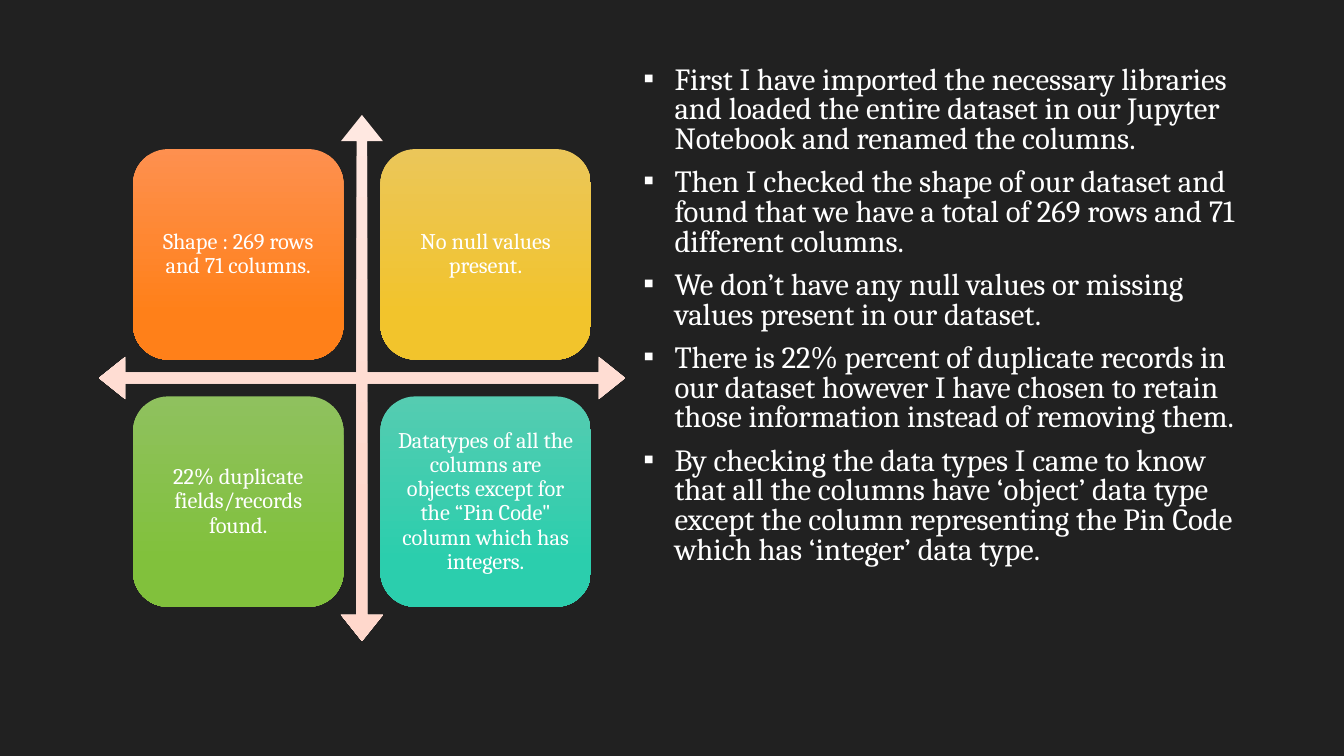
from lxml.etree import SubElement
from pptx import Presentation
from pptx.dml.color import RGBColor
from pptx.enum.shapes import MSO_SHAPE
from pptx.enum.text import MSO_ANCHOR, MSO_AUTO_SIZE, PP_ALIGN
from pptx.oxml.ns import qn
from pptx.util import Inches, Pt

FONT = "Cambria"
BACKGROUND = RGBColor(0x21, 0x21, 0x21)
WHITE = RGBColor(0xFF, 0xFF, 0xFF)
ARROW = (RGBColor(0xFF, 0xE8, 0xE1), RGBColor(0xFF, 0xD8, 0xCC))
ORANGE = (RGBColor(0xFE, 0x90, 0x4F), RGBColor(0xFF, 0x80, 0x19))
YELLOW = (RGBColor(0xEB, 0xC6, 0x59), RGBColor(0xF2, 0xC4, 0x2C))
GREEN = (RGBColor(0x8F, 0xC1, 0x5E), RGBColor(0x81, 0xC1, 0x3C))
TEAL = (RGBColor(0x55, 0xCC, 0xB1), RGBColor(0x2B, 0xCE, 0xAD))

MATRIX_LEFT, MATRIX_TOP, MATRIX_SIZE = Inches(0.98), Inches(1.14), Inches(5.22)
CARD_SHARE = 0.4
CARD_OFFSETS = (0.065, 0.535)
BULLET_INDENT = Inches(0.31)

CARDS = [
    ("Shape : 269 rows and 71 columns.", ORANGE),
    ("No\u00a0null values present.", YELLOW),
    ("22%\u00a0duplicate fields/records found.", GREEN),
    ("Datatypes of all the columns are objects except\u00a0for the “Pin Code\" "
     "column which has integers.", TEAL),
]
FINDINGS = [
    "First I have imported the necessary libraries and loaded the entire "
    "dataset in our Jupyter Notebook and renamed the columns.",
    "Then I checked the shape of our dataset and found that we have a total "
    "of 269 rows and 71 different columns.",
    "We don’t have any null values or missing values present in our dataset.",
    "There is 22% percent of duplicate records in our dataset however I have "
    "chosen to retain those information instead of removing them.",
    "By checking the data types I came to know that all the columns have "
    "‘object’ data type except the column representing the Pin Code which "
    "has ‘integer’ data type.",
]


def add_run(paragraph, text, size):
    """Add one white run to a paragraph."""
    run = paragraph.add_run()
    run.text = text
    run.font.name = FONT
    run.font.size = Pt(size)
    run.font.color.rgb = WHITE


def add_gradient_shape(slide, kind, left, top, size, colors):
    """Add a square, borderless shape shaded from top to bottom."""
    shape = slide.shapes.add_shape(kind, left, top, size, size)
    shape.shadow.inherit = False
    shape.line.fill.background()
    shape.fill.gradient()
    shape.fill.gradient_angle = 270
    for stop, position, color in zip(shape.fill.gradient_stops, (0, 0.78), colors):
        stop.position = position
        stop.color.rgb = color
    return shape


def add_card(slide, column, row, text, colors):
    """Add a rounded card with centred text in one quadrant."""
    left = MATRIX_LEFT + int(MATRIX_SIZE * CARD_OFFSETS[column])
    top = MATRIX_TOP + int(MATRIX_SIZE * CARD_OFFSETS[row])
    size = int(MATRIX_SIZE * CARD_SHARE)
    card = add_gradient_shape(slide, MSO_SHAPE.ROUNDED_RECTANGLE, left, top, size, colors)
    frame = card.text_frame
    frame.word_wrap = True
    frame.vertical_anchor = MSO_ANCHOR.MIDDLE
    frame.margin_left = frame.margin_right = Inches(0.07)
    frame.margin_top = frame.margin_bottom = Inches(0.07)
    paragraph = frame.paragraphs[0]
    paragraph.alignment = PP_ALIGN.CENTER
    paragraph.line_spacing = 0.9
    add_run(paragraph, text, 16)


def add_matrix(slide):
    """Add the four-way arrow and its four cards."""
    arrow = add_gradient_shape(
        slide, MSO_SHAPE.QUAD_ARROW, MATRIX_LEFT, MATRIX_TOP, MATRIX_SIZE, ARROW)
    for index, share in enumerate((0.02, 0.04, 0.05)):
        arrow.adjustments[index] = share
    for index, (text, colors) in enumerate(CARDS):
        row, column = divmod(index, 2)
        add_card(slide, column, row, text, colors)


def set_bullet(paragraph):
    """Give a paragraph a hanging square bullet."""
    properties = paragraph._p.get_or_add_pPr()
    properties.set("marL", str(BULLET_INDENT))
    properties.set("indent", str(-BULLET_INDENT))
    SubElement(properties, qn("a:buFont"), typeface="Arial")
    SubElement(properties, qn("a:buChar"), char="▪")


def fill_findings(body):
    """Place the body placeholder and write the bulleted findings."""
    body.left, body.top = Inches(6.28), Inches(0.61)
    body.width = body.height = Inches(6.14)
    frame = body.text_frame
    frame.word_wrap = True
    frame.auto_size = MSO_AUTO_SIZE.NONE
    frame.vertical_anchor = MSO_ANCHOR.TOP
    for index, text in enumerate(FINDINGS):
        paragraph = frame.add_paragraph() if index else frame.paragraphs[0]
        set_bullet(paragraph)
        paragraph.alignment = PP_ALIGN.LEFT
        paragraph.line_spacing = 0.8
        paragraph.space_before = Pt(10 if index else 0)
        add_run(paragraph, text, 22)


def main():
    """Build and save the slide."""
    presentation = Presentation()
    presentation.slide_width = Inches(13.33)
    presentation.slide_height = Inches(7.5)
    slide = presentation.slides.add_slide(presentation.slide_layouts[1])
    slide.background.fill.solid()
    slide.background.fill.fore_color.rgb = BACKGROUND
    title = slide.shapes.title.element
    title.getparent().remove(title)
    fill_findings(slide.placeholders[1])
    add_matrix(slide)
    presentation.save("out.pptx")


if __name__ == "__main__":
    main()
